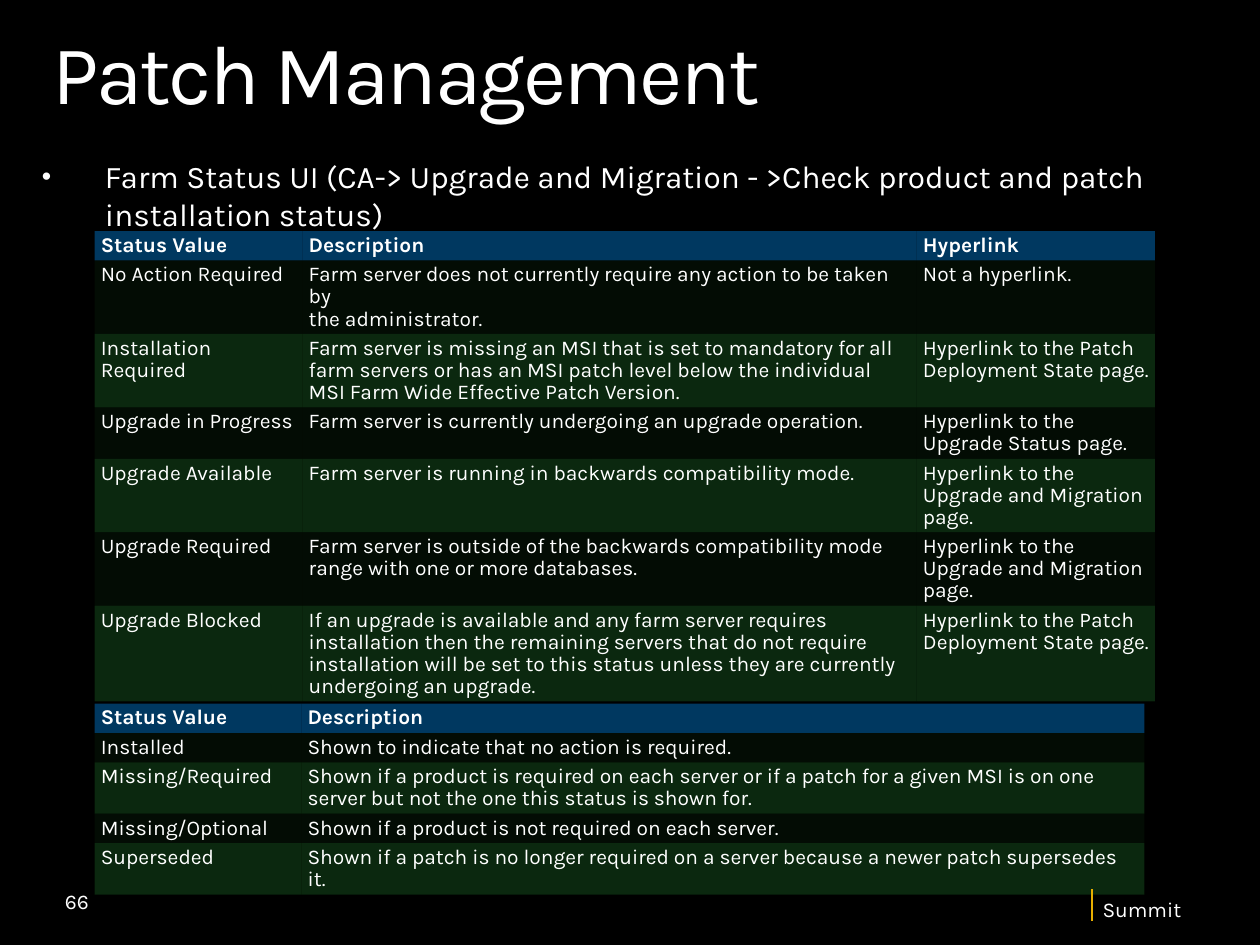
from dataclasses import dataclass
from typing import NamedTuple

from lxml import etree
from pptx import Presentation
from pptx import util as u
from pptx.dml.color import RGBColor
from pptx.enum import shapes, text
from pptx.oxml.ns import qn

GRID = u.Inches(1 / 12)  # the slide is 120 columns by 90 rows
NO_TABLE_STYLE = "{2D5ABB26-0587-4C30-8999-92F81FD0307C}"


@dataclass(frozen=True)
class Theme:
    font: str = "Karla"
    background: str = "000000"
    ink: str = "FFFFFF"
    header: str = "0070C0"
    band: str = "17511E"
    rule: str = "E7AE00"
    strong_alpha: int = 50
    faint_alpha: int = 15
    title_size: int = 48
    body_size: int = 18
    small_size: int = 12
    tight: float = 0.9


THEME = Theme()


class Area(NamedTuple):
    """A rectangle in grid columns and rows."""
    left: float
    top: float
    width: float
    height: float

    def emu(self) -> list[int]:
        return [cells(value) for value in self]


class Row(NamedTuple):
    lines: int
    texts: tuple[str, ...]


class StatusTable(NamedTuple):
    left: float
    top: float
    columns: tuple[float, ...]
    rows: tuple[Row, ...]


FARM_STATUS = StatusTable(9, 22, (19.8, 58.5, 22.7), (
    Row(1, ("Status Value", "Description", "Hyperlink")),
    Row(3, ("No Action Required",
            "Farm server does not currently require any action to be taken by\nthe administrator.",
            "Not a hyperlink.")),
    Row(3, ("Installation Required",
            "Farm server is missing an MSI that is set to mandatory for all farm servers or has "
            "an MSI patch level below the individual MSI Farm Wide Effective Patch Version.",
            "Hyperlink to the Patch Deployment State page.")),
    Row(2, ("Upgrade in Progress",
            "Farm server is currently undergoing an upgrade operation.",
            "Hyperlink to the Upgrade Status page.")),
    Row(3, ("Upgrade Available",
            "Farm server is running in backwards compatibility mode.",
            "Hyperlink to the Upgrade and Migration page.")),
    Row(3, ("Upgrade Required",
            "Farm server is outside of the backwards compatibility mode range with one or more "
            "databases.",
            "Hyperlink to the Upgrade and Migration page.")),
    Row(4, ("Upgrade Blocked",
            "If an upgrade is available and any farm server requires installation then the "
            "remaining servers that do not require installation will be set to this status "
            "unless they are currently undergoing an upgrade.",
            "Hyperlink to the Patch Deployment State page.")),
))

PRODUCT_STATUS = StatusTable(9, 67, (19.7, 80.3), (
    Row(1, ("Status Value", "Description")),
    Row(1, ("Installed", "Shown to indicate that no action is required.")),
    Row(2, ("Missing/Required",
            "Shown if a product is required on each server or if a patch for a given MSI is on "
            "one server but not the one this status is shown for.")),
    Row(1, ("Missing/Optional", "Shown if a product is not required on each server.")),
    Row(2, ("Superseded",
            "Shown if a patch is no longer required on a server because a newer patch "
            "supersedes it.")),
))


def cells(count: float) -> int:
    return round(count * GRID)


def color(code: str) -> RGBColor:
    return RGBColor.from_string(code)


def write(para, words: str, size: int, bold: bool = False, spacing: float = 1.0):
    """Add the words as runs, with a line break at each newline."""
    para.alignment = text.PP_ALIGN.LEFT
    para.line_spacing = spacing
    for index, line in enumerate(words.split("\n")):
        if index:
            para.add_line_break()
        span = para.add_run()
        span.text = line
        span.font.name = THEME.font
        span.font.size = u.Pt(size)
        span.font.bold = bold
        span.font.color.rgb = color(THEME.ink)
    return span


def clear_insets(frame) -> None:
    frame.margin_left = frame.margin_top = frame.margin_right = frame.margin_bottom = 0


def add_text(page, area: Area):
    frame = page.shapes.add_textbox(*area.emu()).text_frame
    frame.word_wrap = True
    return frame


def add_title(page, words: str) -> None:
    title = page.shapes.title
    title.left, title.top, title.width, title.height = Area(5, 3, 110, 8.8).emu()
    frame = title.text_frame
    clear_insets(frame)
    frame.vertical_anchor = text.MSO_ANCHOR.TOP
    frame.auto_size = text.MSO_AUTO_SIZE.SHAPE_TO_FIT_TEXT
    span = write(frame.paragraphs[0], words, THEME.title_size, spacing=THEME.tight)
    span.font._element.set("spc", "-150")


def add_bullet(page, words: str) -> None:
    frame = add_text(page, Area(4, 15, 113, 7))
    clear_insets(frame)
    para = frame.paragraphs[0]
    write(para, words, THEME.body_size)
    props = para._p.get_or_add_pPr()
    props.set("marL", str(cells(6)))
    props.set("indent", str(-cells(6)))
    etree.SubElement(props, qn("a:buSzPct"), val="85000")
    etree.SubElement(props, qn("a:buFont"), typeface="Arial")
    etree.SubElement(props, qn("a:buChar"), char="•")


def fill_cell(cell, code: str, alpha: int) -> None:
    cell.fill.solid()
    cell.fill.fore_color.rgb = color(code)
    shade = cell._tc.tcPr.find(".//" + qn("a:srgbClr"))
    etree.SubElement(shade, qn("a:alpha"), val=str(alpha * 1000))


def add_status_table(page, status: StatusTable) -> None:
    heights = [0.7 + 2.1 * row.lines for row in status.rows]
    area = Area(status.left, status.top, sum(status.columns), sum(heights))
    table = page.shapes.add_table(len(heights), len(status.columns), *area.emu()).table
    table._tbl.tblPr.find(qn("a:tableStyleId")).text = NO_TABLE_STYLE
    for column, width in zip(table.columns, status.columns):
        column.width = cells(width)
    for r, (row, height) in enumerate(zip(status.rows, heights)):
        table.rows[r].height = cells(height)
        alpha = THEME.faint_alpha if r % 2 else THEME.strong_alpha
        for c, words in enumerate(row.texts):
            cell = table.cell(r, c)
            cell.margin_left, cell.margin_right = u.Inches(0.05), u.Inches(0.04)
            cell.margin_top, cell.margin_bottom = u.Inches(0.03), u.Inches(0.01)
            fill_cell(cell, THEME.band if r else THEME.header, alpha)
            write(cell.text_frame.paragraphs[0], words, THEME.small_size,
                  bold=r == 0, spacing=THEME.tight)


def add_footer(page, event: str, number: str) -> None:
    frame = add_text(page, Area(105, 85.7, 10, 2.2))
    clear_insets(frame)
    frame.auto_size = text.MSO_AUTO_SIZE.SHAPE_TO_FIT_TEXT
    write(frame.paragraphs[0], event, THEME.small_size, spacing=THEME.tight)

    rule = page.shapes.add_connector(shapes.MSO_CONNECTOR.STRAIGHT, cells(104), cells(84.7),
                                     cells(104), cells(87.7))
    rule.line.color.rgb = color(THEME.rule)
    rule.line.width = u.Pt(1.25)
    etree.SubElement(rule._element.spPr, qn("a:effectLst"))

    frame = add_text(page, Area(5, 83.4, 28, 4.8))
    frame.vertical_anchor = text.MSO_ANCHOR.MIDDLE
    write(frame.paragraphs[0], number, THEME.small_size)


def main() -> None:
    deck = Presentation()
    deck.slide_width, deck.slide_height = cells(120), cells(90)
    page = deck.slides.add_slide(deck.slide_layouts.get_by_name("Title Only"))
    page.background.fill.solid()
    page.background.fill.fore_color.rgb = color(THEME.background)
    add_title(page, "Patch Management")
    add_bullet(page, "Farm Status UI (CA-> Upgrade and Migration - >Check product and patch "
                     "installation status)")
    for status in (FARM_STATUS, PRODUCT_STATUS):
        add_status_table(page, status)
    add_footer(page, "Summit", "66")
    deck.save("out.pptx")


if __name__ == "__main__":
    main()
